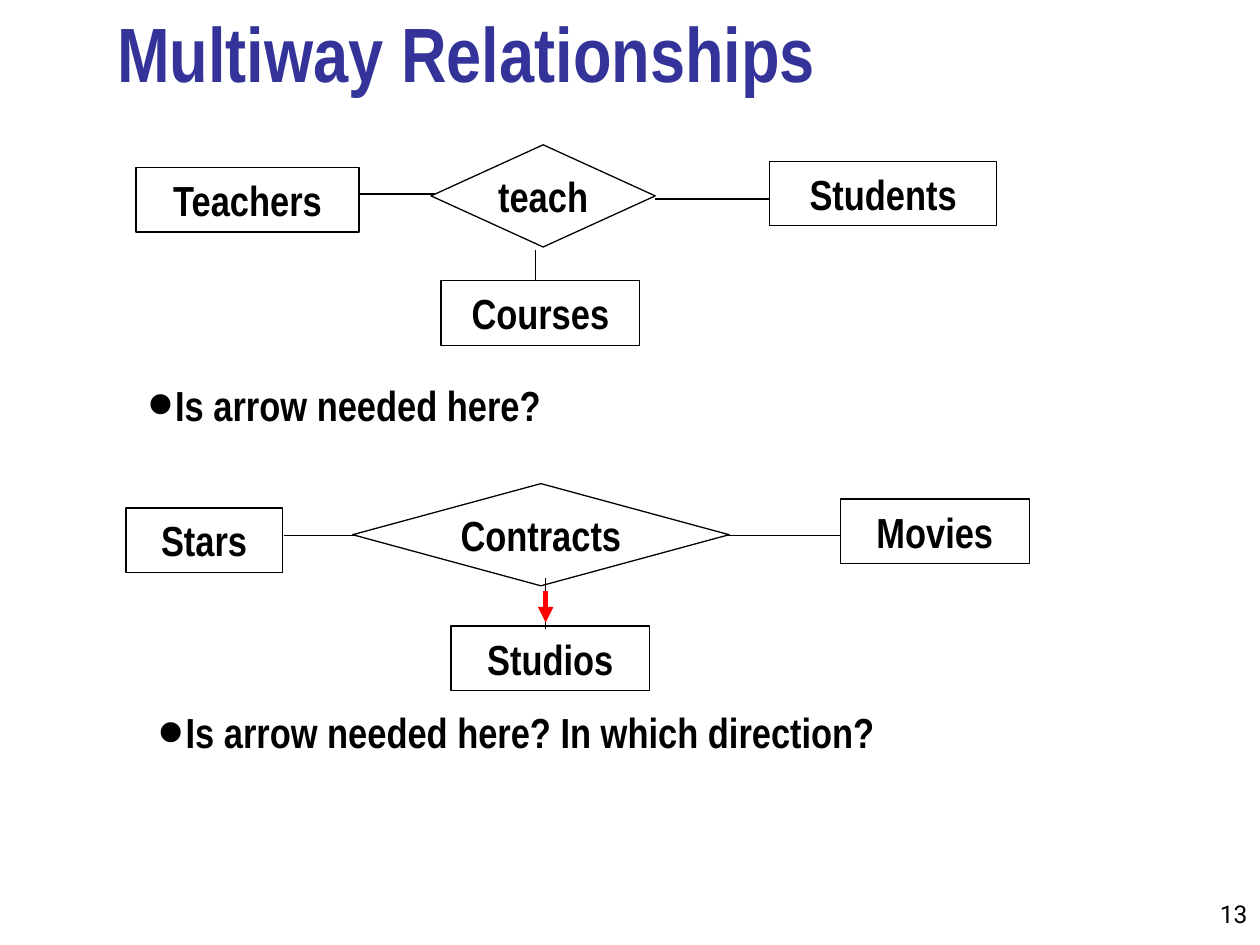
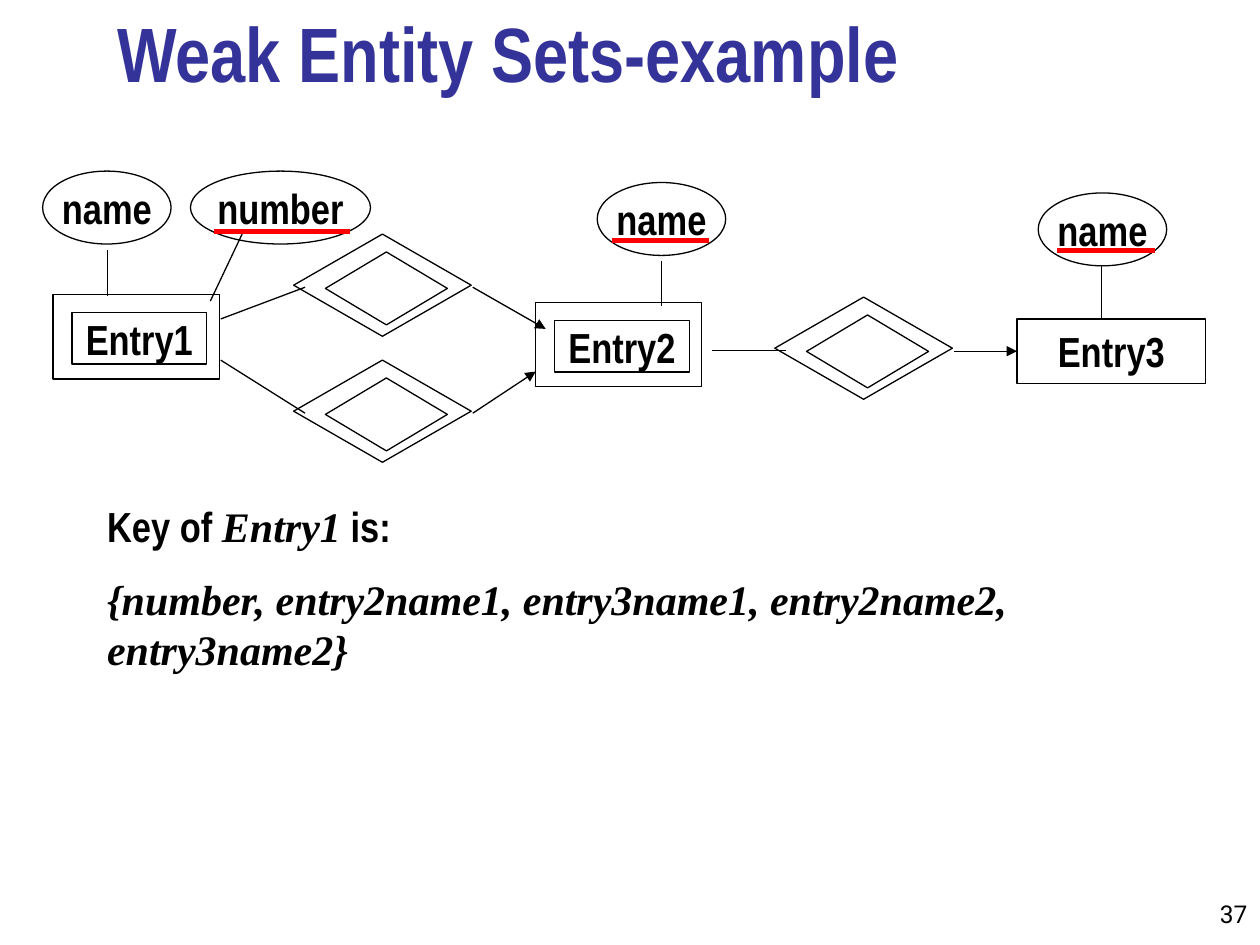
import dataclasses

import pptx
import pptx.dml.color
import pptx.enum.shapes
import pptx.enum.text
import pptx.oxml.ns
import pptx.util
from lxml import etree

Cm = pptx.util.Cm
Pt = pptx.util.Pt
RGB = pptx.dml.color.RGBColor
Shapes = pptx.enum.shapes.MSO_SHAPE
Align = pptx.enum.text.PP_ALIGN
Anchor = pptx.enum.text.MSO_ANCHOR
qn = pptx.oxml.ns.qn


@dataclasses.dataclass(frozen=True)
class Theme:
    title_color: RGB = RGB(0x33, 0x33, 0x99)
    ink: RGB = RGB(0, 0, 0)
    accent: RGB = RGB(0xFF, 0, 0)
    main_font: str = "Arial Narrow"
    serif_font: str = "Times New Roman"
    number_font: str = "Roboto"
    title_size: int = 44
    body_size: int = 24
    number_size: int = 14
    thin: float = 0.75
    thick: float = 3
    body_gap: int = 13


THEME = Theme()

# Sizes shared by the diagram elements, in centimetres
ENTITY_HEIGHT = 1.3
DIAMOND_HEIGHT = 2.06
ATTRIBUTE_HEIGHT = 1.47
NAME_WIDTH = 2.59


# Text helpers
def set_font(font, name=THEME.main_font, size=THEME.body_size, color=THEME.ink, bold=True):
    font.name = name
    font.size = Pt(size)
    font.bold = bold
    font.color.rgb = color


def clear_margins(frame):
    frame.margin_left = frame.margin_right = 0
    frame.margin_top = frame.margin_bottom = 0


def add_text_box(page, left, top, width, height):
    box = page.shapes.add_textbox(Cm(left), Cm(top), Cm(width), Cm(height))
    box.text_frame.word_wrap = True
    return box.text_frame


def add_question(page, text, left, top, width):
    """A line of text behind a double-size bullet."""
    para = add_text_box(page, left, top, width, 1.27).paragraphs[0]
    para.text = text
    set_font(para.font)
    properties = para._p.get_or_add_pPr()
    properties.set("marL", "0")
    properties.set("indent", "0")
    bullet_parts = (
        ("a:buSzPct", "val", "200000"),
        ("a:buFont", "typeface", THEME.serif_font),
        ("a:buChar", "char", "•"),
    )
    # Bullet settings come before the default run properties
    for position, (tag, key, value) in enumerate(bullet_parts):
        part = etree.Element(qn(tag))
        part.set(key, value)
        properties.insert(position, part)


def add_key_text(page, lines, left, top, width, height):
    """Paragraphs of (text, is_term) spans; terms are serif italic."""
    frame = add_text_box(page, left, top, width, height)
    for index, spans in enumerate(lines):
        para = frame.add_paragraph() if index else frame.paragraphs[0]
        para.space_before = Pt(THEME.body_gap)
        set_font(para.font)
        for text, is_term in spans:
            span = para.add_run()
            span.text = text
            set_font(span.font, THEME.serif_font if is_term else THEME.main_font)
            span.font.italic = is_term


# Diagram elements
def add_outline(page, kind, left, top, width, height, text=""):
    shape = page.shapes.add_shape(kind, Cm(left), Cm(top), Cm(width), Cm(height))
    shape.shadow.inherit = False
    shape.fill.background()
    shape.line.color.rgb = THEME.ink
    shape.line.width = Pt(THEME.thin)
    if text:
        frame = shape.text_frame
        frame.word_wrap = True
        frame.vertical_anchor = Anchor.MIDDLE
        para = frame.paragraphs[0]
        para.text = text
        para.alignment = Align.CENTER
        set_font(para.font)
    return shape


def add_entity(page, name, left, top, width):
    return add_outline(page, Shapes.RECTANGLE, left, top, width, ENTITY_HEIGHT, name)


def add_weak_entity(page, name, left, top):
    inner = add_outline(page, Shapes.RECTANGLE, left + 0.38, top + 0.36, 2.72, 1.04, name)
    clear_margins(inner.text_frame)
    add_outline(page, Shapes.RECTANGLE, left, top, 3.35, 1.7)


def add_relationship(page, name, left, top, width):
    diamond = add_outline(page, Shapes.DIAMOND, left, top, width, DIAMOND_HEIGHT, name)
    clear_margins(diamond.text_frame)


def add_identifying_relationship(page, left, top):
    add_outline(page, Shapes.DIAMOND, left, top, 3.58, DIAMOND_HEIGHT)
    add_outline(page, Shapes.DIAMOND, left + 0.64, top + 0.36, 2.46, 1.47)


def add_attribute(page, name, left, top, width=NAME_WIDTH):
    oval = add_outline(page, Shapes.OVAL, left, top, width, ATTRIBUTE_HEIGHT, name)
    clear_margins(oval.text_frame)
    oval.text_frame.word_wrap = False


def add_link(page, start, end, arrow=False, color=THEME.ink, weight=THEME.thin):
    link = page.shapes.add_connector(
        pptx.enum.shapes.MSO_CONNECTOR.STRAIGHT, *(Cm(value) for value in start + end)
    )
    link.line.color.rgb = color
    link.line.width = Pt(weight)
    if arrow:
        head = etree.SubElement(link.line._get_or_add_ln(), qn("a:tailEnd"))
        head.set("type", "triangle")
    etree.SubElement(link._element.spPr, qn("a:effectLst"))
    return link


def add_red_link(page, start, end, arrow=False):
    add_link(page, start, end, arrow, THEME.accent, THEME.thick)


# Page frame: title and number
def add_page(deck, title, number):
    page = deck.slides.add_slide(deck.slide_layouts[5])
    heading = page.shapes.title
    heading.left, heading.top = Cm(2.11), Cm(0.2)
    heading.width, heading.height = Cm(21.64), Cm(1.91)
    frame = heading.text_frame
    frame.auto_size = pptx.enum.text.MSO_AUTO_SIZE.NONE
    frame.vertical_anchor = Anchor.BOTTOM
    para = frame.paragraphs[0]
    para.text = title
    para.alignment = Align.LEFT
    set_font(para.font, size=THEME.title_size, color=THEME.title_color)

    frame = add_text_box(page, 23.7, 17.58, 1.7, 1.27)
    frame.vertical_anchor = Anchor.BOTTOM
    para = frame.paragraphs[0]
    para.text = str(number)
    para.alignment = Align.RIGHT
    set_font(para.font, THEME.number_font, THEME.number_size, bold=False)
    return page


def build_multiway(deck):
    page = add_page(deck, "Multiway Relationships", 13)

    # Teaching diagram
    add_entity(page, "Teachers", 2.74, 3.38, 4.5)
    add_entity(page, "Students", 15.52, 3.25, 4.57)
    add_entity(page, "Courses", 8.89, 5.66, 4.01)
    add_relationship(page, "teach", 8.69, 2.92, 4.52)
    add_link(page, (7.26, 3.91), (8.76, 3.91))
    add_link(page, (13.21, 4.01), (15.52, 4.01))
    add_link(page, (10.8, 5.03), (10.8, 5.66))
    add_question(page, "Is arrow needed here?", 2.69, 7.52, 19.61)

    # Contracts diagram
    add_entity(page, "Stars", 2.54, 10.24, 3.15)
    add_entity(page, "Movies", 16.94, 10.06, 3.81)
    add_entity(page, "Studios", 9.09, 12.62, 4.01)
    add_relationship(page, "Contracts", 7.11, 9.75, 7.59)
    add_link(page, (5.72, 10.8), (7.19, 10.8))
    add_link(page, (14.61, 10.8), (16.94, 10.8))
    add_link(page, (11, 11.66), (11, 12.67))
    add_question(page, "Is arrow needed here? In which direction?", 2.9, 14.12, 20.19)
    add_red_link(page, (11, 11.91), (11, 12.55), arrow=True)


def build_weak_entities(deck):
    page = add_page(deck, "Weak Entity Sets-example", 37)

    # Entities and the relationships between them
    add_weak_entity(page, "Entry1", 1.07, 5.94)
    add_weak_entity(page, "Entry2", 10.8, 6.1)
    entry3 = add_entity(page, "Entry3", 20.5, 6.43, 3.81)
    for left, top in ((5.92, 4.72), (5.92, 7.26), (15.62, 5.99)):
        add_identifying_relationship(page, left, top)

    # Attributes
    add_attribute(page, "name", 0.86, 3.45)
    add_attribute(page, "number", 3.84, 3.45, 3.63)
    add_attribute(page, "name", 12.04, 3.68)
    add_attribute(page, "name", 20.93, 3.89)

    # Plain links
    for start, end in (
        ((2.16, 5.97), (2.16, 5.03)),
        ((4.88, 4.72), (4.24, 6.07)),
        ((13.34, 6.17), (13.34, 5.26)),
        ((22.2, 5.36), (22.2, 6.43)),
        ((4.45, 6.43), (6.15, 5.79)),
        ((4.45, 7.26), (6.15, 8.33)),
        ((14.35, 7.06), (15.85, 7.06)),
    ):
        add_link(page, start, end)

    # Arrows to the owner entities
    add_link(page, (9.53, 5.79), (11, 6.63), arrow=True)
    add_link(page, (9.53, 8.33), (10.8, 7.49), arrow=True)
    owner_link = add_link(page, (19.23, 7.08), (20.5, 7.08), arrow=True)
    owner_link.end_connect(entry3, 1)

    # Red bars under the key attributes
    for left, right, height in ((4.32, 7.06, 4.67), (12.34, 14.3, 4.85), (21.31, 23.29, 5.05)):
        add_red_link(page, (left, height), (right, height))

    key_lines = (
        (("Key of ", False), ("Entry1", True), (" is:", False)),
        (("{number, entry2name1, entry3name1, entry2name2, entry3name2}", True),),
    )
    add_key_text(page, key_lines, 1.91, 9.96, 22.4, 3.81)


def main():
    deck = pptx.Presentation()
    deck.slide_width, deck.slide_height = Cm(25.4), Cm(19.05)
    build_multiway(deck)
    build_weak_entities(deck)
    deck.save("out.pptx")


if __name__ == "__main__":
    main()
